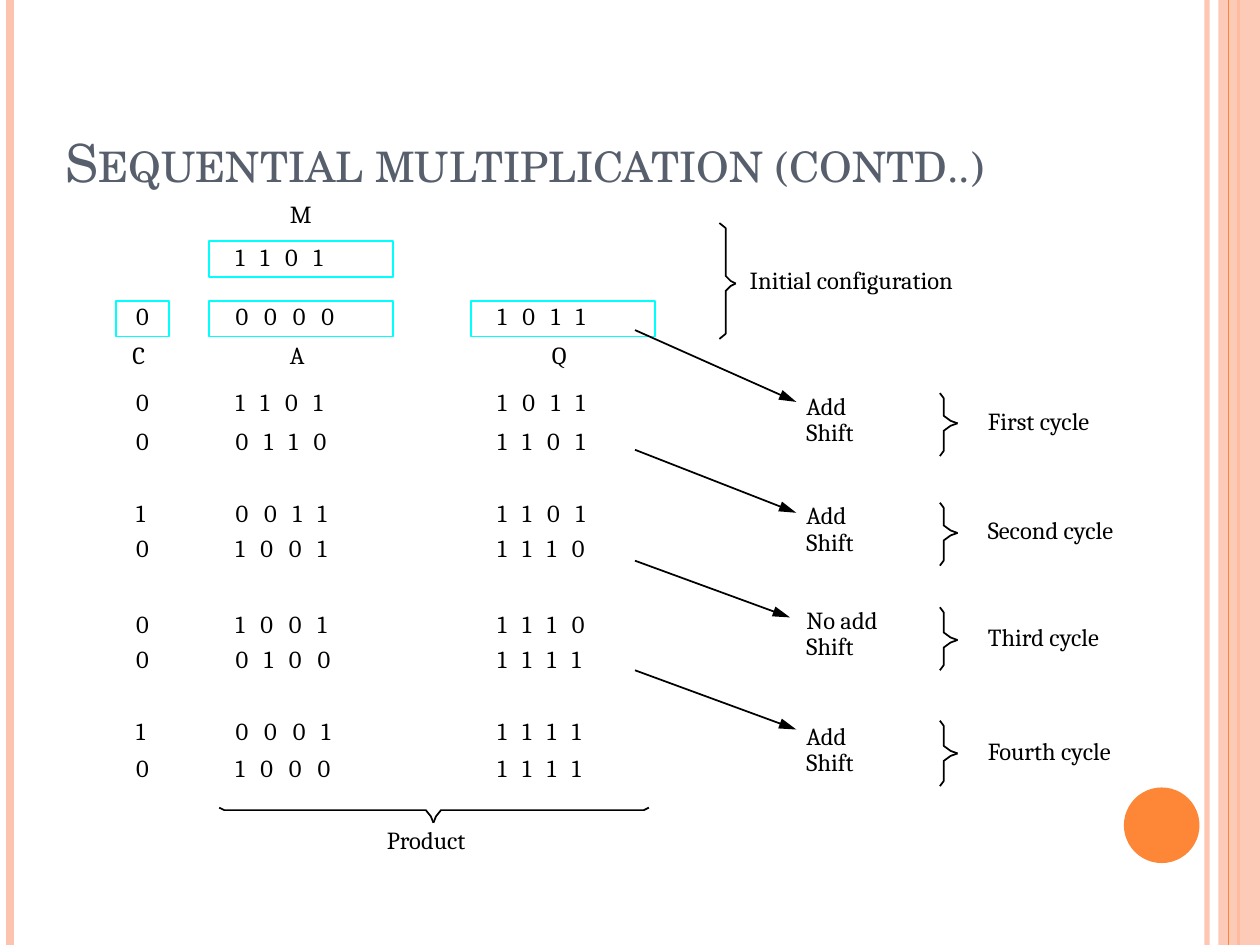
from lxml.etree import SubElement
from pptx import Presentation
from pptx.dml.color import RGBColor
from pptx.enum.shapes import MSO_CONNECTOR, MSO_SHAPE
from pptx.enum.text import MSO_ANCHOR, MSO_AUTO_SIZE
from pptx.oxml.ns import qn
from pptx.util import Inches, Pt

COLORS = {
    "ink": "000000",
    "title": "575F6D",
    "register": "00FFFF",
    "orange": "FE8637",
    "peach": "FEC3AE",
}
BODY_FONT, TITLE_FONT = "Cambria", "TeX Gyre Schola"
TEXT_HEIGHT = 0.24
C_X, A_X, Q_X = 1.08, 1.87, 3.95

# top, C, A, Q
REGISTER_ROWS = [
    (2.39, "0", "0000", "1011"),
    (3.07, "0", "1101", "1011"),
    (3.38, "0", "0110", "1101"),
    (3.95, "1", "0011", "1101"),
    (4.23, "0", "1001", "1110"),
    (4.83, "0", "1001", "1110"),
    (5.11, "0", "0100", "1111"),
    (5.68, "1", "0001", "1111"),
    (5.98, "0", "1000", "1111"),
]
# step, step width, step top, cycle, cycle width, brace (top, tip, bottom), arrow (start y, tip x, tip y)
CYCLES = [
    ("Add", 0.35, 3.10, "First cycle", 0.88, (3.12, 3.36, 3.62), (2.62, 6.32, 3.19)),
    ("Add", 0.35, 3.97, "Second cycle", 1.17, (3.99, 4.23, 4.49), (3.57, 6.32, 4.07)),
    ("No add", 0.63, 4.80, "Third cycle", 0.95, (4.82, 5.08, 5.32), (4.45, 6.27, 4.90)),
    ("Add", 0.35, 5.72, "Fourth cycle", 1.07, (5.72, 5.98, 6.24), (5.32, 6.32, 5.79)),
]
# text, left, top, width
LABELS = [
    ("M", 2.30, 1.58, 0.16),
    ("C", 1.05, 2.70, 0.14),
    ("A", 2.30, 2.70, 0.13),
    ("Q", 4.38, 2.70, 0.15),
    ("Initial configuration", 5.95, 2.10, 1.63),
    ("Product", 3.07, 6.55, 0.67),
]
# left, top, width, height
REGISTER_BOXES = [
    (1.66, 1.91, 1.46, 0.29),
    (0.92, 2.39, 0.42, 0.28),
    (1.66, 2.39, 1.46, 0.28),
    (3.74, 2.39, 1.46, 0.28),
]


def rgb(name):
    return RGBColor.from_string(COLORS[name])


def set_alpha(sp, percent):
    color = next(sp._element.spPr.iter(qn("a:srgbClr")))
    SubElement(color, qn("a:alpha"), val=str(percent * 1000))


def add_line(s, x1, y1, x2, y2, color="ink", width=1, arrow=False):
    sp = s.shapes.add_connector(
        MSO_CONNECTOR.STRAIGHT, Inches(x1), Inches(y1), Inches(x2), Inches(y2))
    sp.line.color.rgb = rgb(color)
    sp.line.width = Pt(width)
    if arrow:
        SubElement(sp.line._get_or_add_ln(), qn("a:tailEnd"),
                   type="triangle", w="med", len="lg")
    SubElement(sp._element.spPr, qn("a:effectLst"))
    return sp


def add_filled(s, kind, at, color):
    sp = s.shapes.add_shape(kind, *map(Inches, at))
    sp.shadow.inherit = False
    sp.fill.solid()
    sp.fill.fore_color.rgb = rgb(color)
    sp.line.fill.background()
    return sp


def add_register_box(s, at):
    sp = s.shapes.add_shape(MSO_SHAPE.RECTANGLE, *map(Inches, at))
    sp.shadow.inherit = False
    sp.fill.background()
    sp.line.color.rgb = rgb("register")
    sp.line.width = Pt(1)


def add_label(s, text, left, top, width):
    box = s.shapes.add_textbox(*map(Inches, (left, top, width, TEXT_HEIGHT)))
    tf = box.text_frame
    tf.margin_left = tf.margin_right = tf.margin_top = tf.margin_bottom = 0
    tf.word_wrap = False
    tf.auto_size = MSO_AUTO_SIZE.SHAPE_TO_FIT_TEXT
    p = tf.paragraphs[0]
    p.text = text
    p.font.size = Pt(14)
    p.font.name = BODY_FONT
    p.font.color.rgb = rgb("ink")
    return p


def add_bits(s, bits, left, top):
    """Spread the bits of a register with letter spacing."""
    p = add_label(s, " ".join(bits), left, top, 0.92)
    p.runs[0].font._element.set("spc", "300")


def add_brace(s, base, start, tip, stop, depth, stem, horizontal=False):
    """Draw two mirrored halves that meet at the tip."""
    for end in (start, stop):
        sign = 1 if end < tip else -1
        points = [(base, end), (base + stem, end + sign * 0.04),
                  (base + stem, tip - sign * 0.06),
                  (base + (stem + depth) / 2, tip - sign * 0.02), (base + depth, tip)]
        if horizontal:
            points = [(y, x) for x, y in points]
        points = [(Inches(x), Inches(y)) for x, y in points]
        fb = s.shapes.build_freeform(*points[0])
        fb.add_line_segments(points[1:], close=False)
        sp = fb.convert_to_shape()
        sp.shadow.inherit = False
        sp.fill.background()
        sp.line.color.rgb = rgb("ink")
        sp.line.width = Pt(1)


def add_decoration(s):
    set_alpha(add_line(s, 9.58, 0, 9.58, 7.5, "peach", 3), 93)
    add_line(s, 0.08, 0, 0.08, 7.5, "peach", 4.5)
    add_line(s, 9.83, 0, 9.83, 7.5, "orange", 1.5)
    set_alpha(add_filled(s, MSO_SHAPE.RECTANGLE, (9.67, 0, 0.33, 7.5), "peach"), 87)
    add_line(s, 9.75, 0, 9.75, 7.5, "orange", 0.75)
    add_filled(s, MSO_SHAPE.OVAL, (8.92, 6.25, 0.6, 0.6), "orange")


def add_title(s, text):
    box = s.shapes.add_textbox(*map(Inches, (0.42, 0.33, 9.08, 1.25)))
    tf = box.text_frame
    tf.word_wrap = True
    tf.vertical_anchor = MSO_ANCHOR.BOTTOM
    p = tf.paragraphs[0]
    p.text = text
    p.font.size = Pt(30)
    p.font.name = TITLE_FONT
    p.font.color.rgb = rgb("title")
    p.runs[0].font._element.set("cap", "small")


def main():
    prs = Presentation()
    prs.slide_width, prs.slide_height = Inches(10), Inches(7.5)
    s = prs.slides.add_slide(prs.slide_layouts[6])
    add_decoration(s)
    add_title(s, "Sequential multiplication (contd..)")

    # Registers and their contents
    for at in REGISTER_BOXES:
        add_register_box(s, at)
    add_bits(s, "1101", A_X, 1.92)
    for top, c, a, q in REGISTER_ROWS:
        add_label(s, c, C_X, top, 0.11)
        add_bits(s, a, A_X, top)
        add_bits(s, q, Q_X, top)
    for label in LABELS:
        add_label(s, *label)

    # Initial configuration and product braces
    add_brace(s, 5.71, 1.77, 2.25, 2.69, 0.13, 0.05)
    add_brace(s, 6.41, 1.74, 3.44, 5.15, 0.12, 0.02, horizontal=True)

    # Cycles
    for step, step_w, top, cycle, cycle_w, brace, (start_y, tip_x, tip_y) in CYCLES:
        add_label(s, step, 6.4, top, step_w)
        add_label(s, "Shift", 6.4, top + 0.21, 0.39)
        add_label(s, cycle, 7.84, brace[1] - 0.14, cycle_w)
        add_brace(s, 7.46, *brace, 0.14, 0.03)
        add_line(s, 5.04, start_y, tip_x, tip_y, arrow=True)

    prs.save("out.pptx")


if __name__ == "__main__":
    main()
